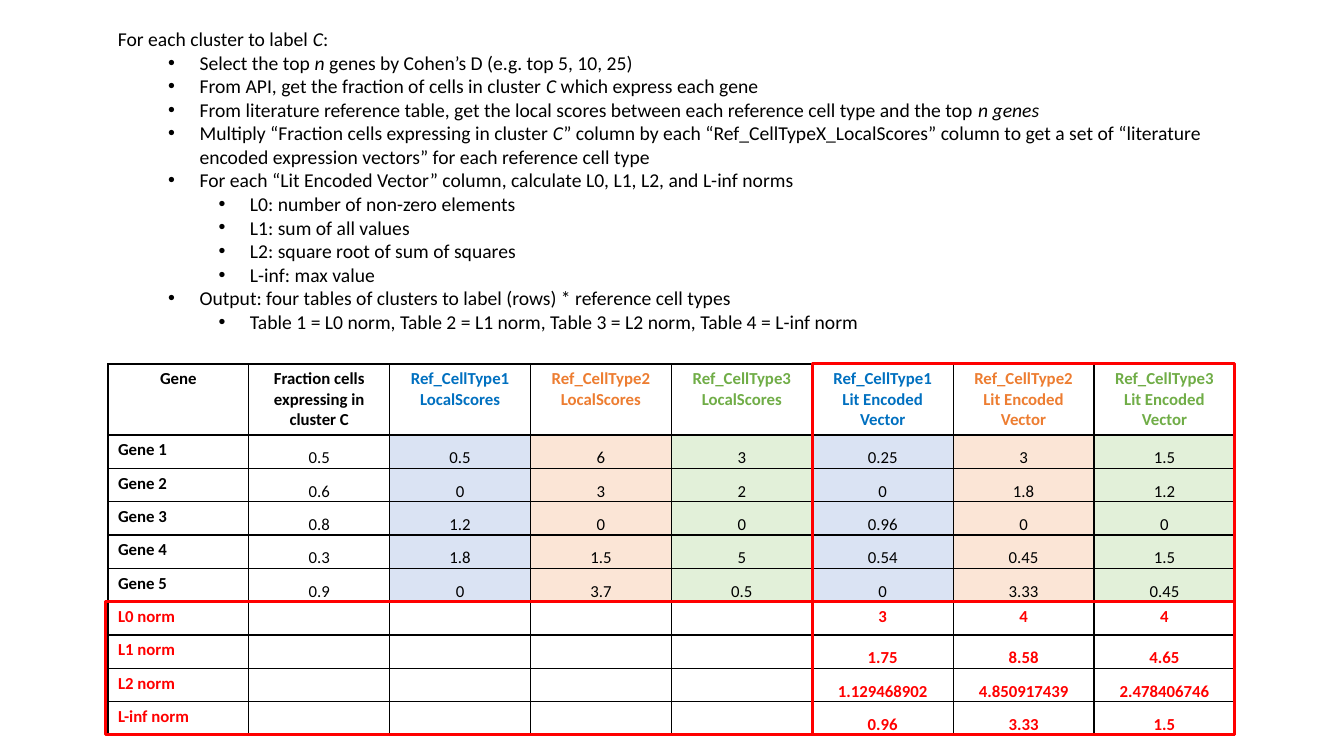
import math
import pptx
import pptx.util
import pptx.dml.color
import pptx.enum.shapes
import pptx.enum.text
import pptx.oxml.ns
import lxml.etree

Cm = pptx.util.Cm
Pt = pptx.util.Pt
RGB = pptx.dml.color.RGBColor.from_string
qn = pptx.oxml.ns.qn
ALIGN = pptx.enum.text.PP_ALIGN
ANCHOR = pptx.enum.text.MSO_ANCHOR

theme = {
    "font": "Calibri",
    "steps_size": 14,
    "table_size": 12,
    "ink": "000000",
    "highlight": "FF0000",
    "type_inks": ["0070C0", "ED7D31", "70AD47"],
    "type_fills": ["DAE3F3", "FBE5D6", "E2F0D9"],
}


def write(paragraph, text, size=theme["table_size"], color=theme["ink"], bold=False, align=None):
    paragraph.alignment = align
    for part, words in enumerate(text.split("|")):
        if words:
            run = paragraph.add_run()
            run.text = words
            run.font.name = theme["font"]
            run.font.size = Pt(size)
            run.font.bold = bold
            run.font.italic = part % 2 == 1
            run.font.color.rgb = RGB(color)
    if not text:
        lxml.etree.SubElement(paragraph._p, qn("a:endParaRPr"), sz=str(size * 100))


def border(cell, color, width):
    properties = cell._tc.get_or_add_tcPr()
    for position, side in enumerate(("a:lnL", "a:lnR", "a:lnT", "a:lnB")):
        edge = lxml.etree.Element(qn(side), w=str(Pt(width)))
        paint = lxml.etree.SubElement(edge, qn("a:solidFill"))
        lxml.etree.SubElement(paint, qn("a:srgbClr"), val=color)
        properties.insert(position, edge)


deck = pptx.Presentation()
deck.slide_width = Cm(33.87)
deck.slide_height = Cm(19.05)
slide = deck.slides.add_slide(deck.slide_layouts[6])

steps = [
    (0, "For each cluster to label |C|:"),
    (1, "Select the top |n| genes by Cohen’s D (e.g. top 5, 10, 25)"),
    (1, "From API, get the fraction of cells in cluster |C| which express each gene"),
    (1, "From literature reference table, get the local scores between each reference cell type and the top |n genes|"),
    (1, "Multiply “Fraction cells expressing in cluster |C|” column by each “Ref_CellTypeX_LocalScores” column "
        "to get a set of “literature encoded expression vectors” for each reference cell type"),
    (1, "For each “Lit Encoded Vector” column, calculate L0, L1, L2, and L-inf norms"),
    (2, "L0: number of non-zero elements"),
    (2, "L1: sum of all values"),
    (2, "L2: square root of sum of squares"),
    (2, "L-inf: max value"),
    (1, "Output: four tables of clusters to label (rows) * reference cell types "),
    (2, "Table 1 = L0 norm, Table 2 = L1 norm, Table 3 = L2 norm, Table 4 = L-inf norm"),
]
method = slide.shapes.add_textbox(Cm(2.72), Cm(0.56), Cm(27.84), Cm(8.03)).text_frame
method.word_wrap = True
method.auto_size = pptx.enum.text.MSO_AUTO_SIZE.SHAPE_TO_FIT_TEXT
for number, (level, text) in enumerate(steps):
    step = method.add_paragraph() if number else method.paragraphs[0]
    write(step, text, size=theme["steps_size"])
    if level:
        step.level = level
        layout = step._p.get_or_add_pPr()
        layout.set("marL", str(Cm(0.79 + 1.27 * level)))
        layout.set("indent", str(Cm(-0.79)))
        lxml.etree.SubElement(layout, qn("a:buFont"), typeface="Arial")
        lxml.etree.SubElement(layout, qn("a:buChar"), char="•")

fractions = [0.5, 0.6, 0.8, 0.3, 0.9]
local_scores = [[0.5, 6, 3], [0, 3, 2], [1.2, 0, 0], [1.8, 1.5, 5], [0, 3.7, 0.5]]
encoded = [[fraction * score for score in scores] for fraction, scores in zip(fractions, local_scores)]
norms = {
    "L0 norm": lambda vector: sum(value != 0 for value in vector),
    "L1 norm": sum,
    "L2 norm": lambda vector: math.hypot(*vector),
    "L-inf norm": max,
}

rows = [["Gene", "Fraction cells expressing in cluster C"]
        + [f"Ref_CellType{kind}\n{label}" for label in ("LocalScores", "Lit Encoded Vector") for kind in (1, 2, 3)]]
for gene, (fraction, scores, vector) in enumerate(zip(fractions, local_scores, encoded), 1):
    rows.append([f"Gene {gene}"] + [format(value, ".10g") for value in [fraction, *scores, *vector]])
for label, norm in norms.items():
    rows.append([label] + [""] * 4 + [format(norm(vector), ".10g") for vector in zip(*encoded)])

left, top = 2.72, 9.17
column_width, header_height, row_height = 3.55, 1.79, 0.84
table_width = column_width * len(rows[0])
table_height = header_height + row_height * (len(rows) - 1)
first_norm = 1 + len(fractions)

scores_table = slide.shapes.add_table(
    len(rows), len(rows[0]), Cm(left), Cm(top), Cm(table_width), Cm(table_height)).table
scores_table.first_row = False
scores_table.horz_banding = False
for column in scores_table.columns:
    column.width = Cm(column_width)

for r, row in enumerate(rows):
    scores_table.rows[r].height = Cm(row_height if r else header_height)
    is_gene = 0 < r < first_norm
    for c, text in enumerate(row):
        cell = scores_table.cell(r, c)
        kind = (c - 2) % 3
        if is_gene and c > 1:
            cell.fill.solid()
            cell.fill.fore_color.rgb = RGB(theme["type_fills"][kind])
        else:
            cell.fill.background()
        border(cell, theme["ink"], 1)
        if c and text and r not in (0, first_norm):
            cell.vertical_anchor = ANCHOR.BOTTOM
            cell.margin_left = cell.margin_right = cell.margin_top = Cm(0.03)
            cell.margin_bottom = 0
        color = theme["highlight"] if r >= first_norm else theme["ink"]
        if r == 0 and c > 1:
            color = theme["type_inks"][kind]
        for number, line in enumerate(text.split("\n")):
            paragraph = cell.text_frame.add_paragraph() if number else cell.text_frame.paragraphs[0]
            write(paragraph, line, color=color, bold=not (is_gene and c),
                  align=ALIGN.CENTER if c or r == 0 else None)

norms_height = row_height * len(norms)
highlights = [
    (left + 5 * column_width, top, 3 * column_width, table_height),
    (left - 0.07, top + table_height - norms_height, table_width + 0.07, norms_height),
]
for bounds in highlights:
    frame = slide.shapes.add_shape(pptx.enum.shapes.MSO_SHAPE.RECTANGLE, *map(Cm, bounds))
    frame.shadow.inherit = False
    frame.fill.background()
    frame.line.color.rgb = RGB(theme["highlight"])
    frame.line.width = Pt(2)

deck.save("out.pptx")
